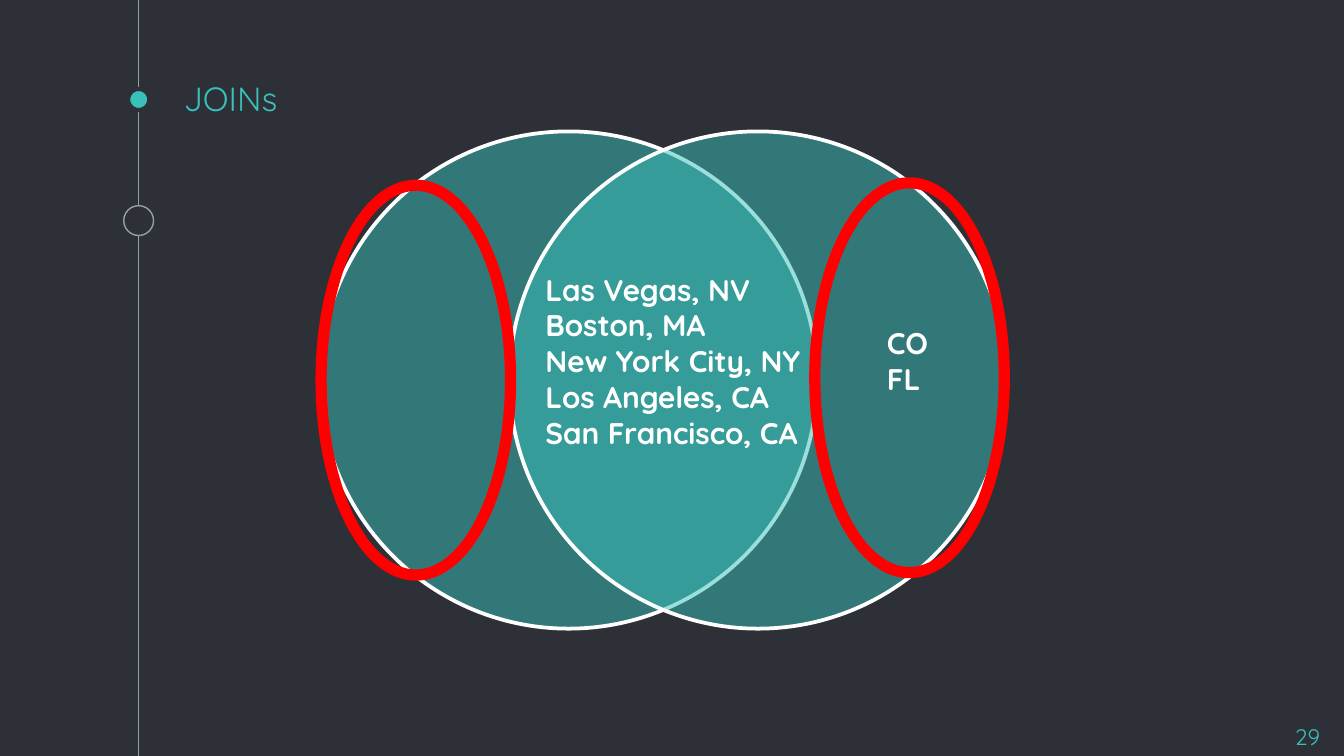
from lxml.etree import SubElement
from pptx import Presentation
from pptx.dml.color import RGBColor
from pptx.enum.shapes import MSO_CONNECTOR, MSO_SHAPE
from pptx.enum.text import MSO_ANCHOR, MSO_AUTO_SIZE, PP_ALIGN
from pptx.oxml.ns import qn
from pptx.util import Pt

COLORS = {
    "background": "2E3037",
    "teal": "39C0BA",
    "gray": "999FA9",
    "white": "FFFFFF",
    "red": "FF0000",
}

presentation = Presentation()
presentation.slide_width = Pt(720)
presentation.slide_height = Pt(405)
slide = presentation.slides.add_slide(presentation.slide_layouts[6])
slide.background.fill.solid()
slide.background.fill.fore_color.rgb = RGBColor.from_string(COLORS["background"])


def add_ellipse(left, top, width, height, fill, line, weight, alpha=100):
    ellipse = slide.shapes.add_shape(
        MSO_SHAPE.OVAL, Pt(left), Pt(top), Pt(width), Pt(height))
    ellipse.shadow.inherit = False
    ellipse.line.color.rgb = RGBColor.from_string(COLORS[line])
    ellipse.line.width = Pt(weight)
    if fill is None:
        ellipse.fill.background()
        return
    ellipse.fill.solid()
    ellipse.fill.fore_color.rgb = RGBColor.from_string(COLORS[fill])
    if alpha < 100:
        color = ellipse.fill._xPr.find(qn("a:solidFill"))[0]
        SubElement(color, qn("a:alpha"), val=str(alpha * 1000))


def add_text(left, top, width, height, text, size, color, bold=False, inset=7.2):
    box = slide.shapes.add_textbox(Pt(left), Pt(top), Pt(width), Pt(height))
    frame = box.text_frame
    frame.word_wrap = True
    frame.margin_top = frame.margin_bottom = Pt(inset)
    frame.text = text
    for paragraph in frame.paragraphs:
        for run in paragraph.runs:
            run.font.name = "Quicksand"
            run.font.size = Pt(size)
            run.font.bold = bold
            run.font.color.rgb = RGBColor.from_string(COLORS[color])
    return frame


timeline = slide.shapes.add_connector(
    MSO_CONNECTOR.STRAIGHT, Pt(74.3), Pt(0), Pt(74.3), Pt(405))
timeline.line.color.rgb = RGBColor.from_string(COLORS["gray"])
timeline.line.width = Pt(0.75)
SubElement(timeline._element.spPr, qn("a:effectLst"))

for center, diameter, fill, line, weight in [
    (53.3, 11.3, "teal", "background", 2.25),
    (118.2, 16, "background", "gray", 0.75),
]:
    add_ellipse(74.3 - diameter / 2, center - diameter / 2,
                diameter, diameter, fill, line, weight)

title = add_text(91.4, 43.2, 540, 27.4, "JOINs", 18, "teal")
title.vertical_anchor = MSO_ANCHOR.BOTTOM

page_number = add_text(671, 380.2, 43.2, 24.5, "29", 12, "teal")
page_number.paragraphs[0].alignment = PP_ALIGN.RIGHT

for left in (171.4, 272.9):
    add_ellipse(left, 70.4, 266.4, 266.4, "teal", "white", 2, alpha=50)

states = "CO\vFL"
cities = ("Las Vegas, NV\vBoston, MA\vNew York City, NY\n"
          "Los Angeles, CA\vSan Francisco, CA")
for left, top, width, height, text in [
    (468, 170.6, 118.8, 46, states),
    (285.1, 141.8, 154.8, 104.4, cities),
]:
    venn_label = add_text(left, top, width, height, text, 16, "white", True, 3.6)
    venn_label.auto_size = MSO_AUTO_SIZE.SHAPE_TO_FIT_TEXT

for left, top in [(436.5, 98), (172, 99.3)]:
    add_ellipse(left, top, 101.5, 208.8, None, "red", 6)

presentation.save("out.pptx")
